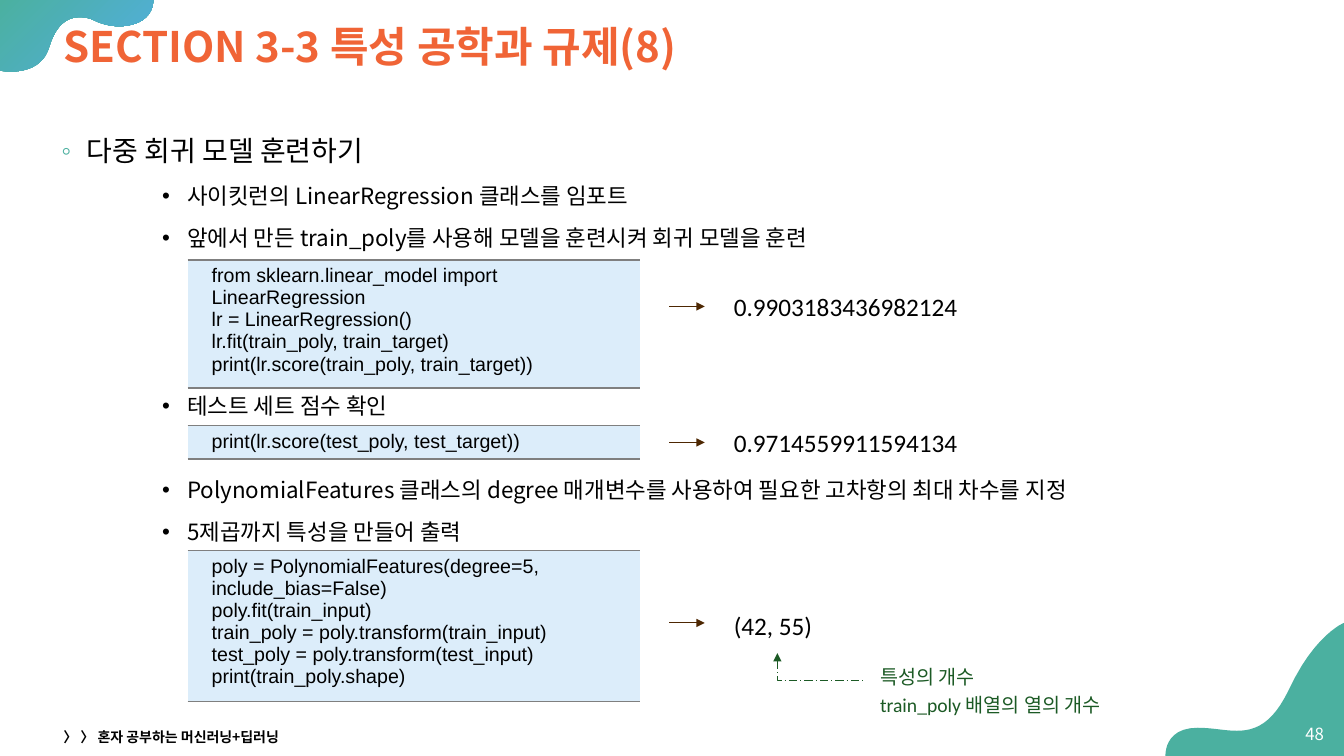
"""Builds the slide on training a multiple regression model."""
from lxml import etree
from pptx import Presentation, util as u
from pptx.dml.color import RGBColor
from pptx.enum import dml, shapes, text
from pptx.oxml import ns

KOREAN = "Noto Sans CJK KR"
TEAL, GREEN, BROWN, BLACK = "4BB0A0", "1C5A25", "4D2702", "000000"


def rgb(value):
    return RGBColor.from_string(value)


def write(paragraph, words, size=16, font=KOREAN, color=BLACK, bold=False,
          align=text.PP_ALIGN.LEFT, spacing=1.0, before=0, bullet=None, bullet_color=BLACK, indent=0):
    props = paragraph._p.get_or_add_pPr()
    if bullet:
        props.set("marL", str(u.Inches(indent)))
        props.set("indent", str(u.Inches(-0.25)))
        tint = etree.SubElement(props, ns.qn("a:buClr"))
        etree.SubElement(tint, ns.qn("a:srgbClr"), val=bullet_color)
        etree.SubElement(props, ns.qn("a:buFont"), typeface="Arial")
        etree.SubElement(props, ns.qn("a:buChar"), char=bullet)
    paragraph.text = words
    paragraph.alignment = align
    paragraph.line_spacing = spacing
    paragraph.space_before = u.Pt(before)
    for run in paragraph.runs:
        run.font.size, run.font.bold, run.font.name = u.Pt(size), bold, font
        run.font.color.rgb = rgb(color)
        etree.SubElement(run._r.get_or_add_rPr(), ns.qn("a:ea"), typeface=KOREAN)


deck = Presentation()
deck.slide_width, deck.slide_height = u.Inches(13.33), u.Inches(7.5)
slide = deck.slides.add_slide(deck.slide_layouts[6])

top_wave = [(1.52, 0), (0, 0), (0, 0.7)], [
    [(0, 0.7), (0.04, 0.71), (0.11, 0.71)], [(0.24, 0.71), (0.43, 0.67), (0.49, 0.46)],
    [(0.56, 0.23), (0.68, 0.17), (0.79, 0.17)], [(0.84, 0.17), (0.89, 0.18), (0.93, 0.2)],
    [(1.01, 0.24), (1.1, 0.26), (1.18, 0.26)], [(1.37, 0.26), (1.52, 0.17), (1.52, 0)]]
bottom_wave = [(13.33, 7.5), (13.33, 6.18)], [
    [(13.33, 6.18), (13.04, 6.29), (12.78, 6.85)], [(12.62, 7.18), (12.45, 7.25), (12.27, 7.25)],
    [(12.15, 7.25), (12.02, 7.22), (11.88, 7.22)], [(11.54, 7.22), (11.56, 7.5), (11.56, 7.5)]]
for (corners, curves), gradient in ((top_wave, True), (bottom_wave, False)):
    outline = list(corners)
    for b, c, d in curves:
        a = outline[-1]
        for step in range(1, 13):
            t = step / 12
            outline.append(tuple((1 - t) ** 3 * a[i] + 3 * t * (1 - t) ** 2 * b[i]
                                 + 3 * t * t * (1 - t) * c[i] + t ** 3 * d[i] for i in (0, 1)))
    outline = [(u.Inches(x), u.Inches(y)) for x, y in outline]
    builder = slide.shapes.build_freeform(*outline[0])
    builder.add_line_segments(outline[1:], close=True)
    wave = builder.convert_to_shape()
    wave.shadow.inherit = False
    wave.line.fill.background()
    if gradient:
        wave.fill.gradient()
        wave.fill.gradient_angle = 315
        for stop, color, position in zip(wave.fill.gradient_stops, (TEAL, "52AEE1"), (0, 1)):
            stop.color.rgb, stop.position = rgb(color), position
    else:
        wave.fill.solid()
        wave.fill.fore_color.rgb = rgb(TEAL)

topic = dict(size=20, bullet="◦", bullet_color=TEAL, indent=0.25, spacing=1.3)
point = dict(bullet="•", indent=1.25, spacing=1.3, before=5)
outline_points = [
    ("다중 회귀 모델 훈련하기", topic),
    ("사이킷런의 LinearRegression 클래스를 임포트", point),
    ("앞에서 만든 train_poly를 사용해 모델을 훈련시켜 회귀 모델을 훈련", point),
    ("테스트 세트 점수 확인", point | dict(before=95)),
    ("PolynomialFeatures 클래스의 degree 매개변수를 사용하여 필요한 고차항의 최대 차수를 지정",
     point | dict(before=35)),
    ("5제곱까지 특성을 만들어 출력", point)]
result = dict(size=18, font="Calibri")
middle, top = text.MSO_ANCHOR.MIDDLE, text.MSO_ANCHOR.TOP
text_blocks = [
    ((0.51, 1.18, 12.59, 5.96), top, outline_points),
    ((0.53, 0.12, 12.34, 0.73), middle,
     [("SECTION 3-3 특성 공학과 규제(8)", dict(size=30, color="F06436", bold=True, spacing=0.9))]),
    ((12.79, 7.08, 0.44, 0.4), middle,
     [("48", dict(size=12, color="FFFFFF", align=text.PP_ALIGN.RIGHT))]),
    ((0.53, 7.19, 4.5, 0.24), middle,
     [("〉 〉 혼자 공부하는 머신러닝+딥러닝", dict(size=10, bold=True))]),
    ((7.18, 2.84, 3.19, 0.4), top, [("0.9903183436982124", result)]),
    ((7.18, 4.19, 3.19, 0.4), top, [("0.9714559911594134", result)]),
    ((7.18, 6.01, 3.19, 0.4), top, [("(42, 55)", result)]),
    ((8.63, 6.5, 2.75, 0.65), top,
     [("특성의 개수\ntrain_poly 배열의 열의 개수", dict(size=14, font="Calibri", color=GREEN, spacing=1.2))])]
for place, anchor, lines in text_blocks:
    frame = slide.shapes.add_textbox(*map(u.Inches, place)).text_frame
    frame.word_wrap, frame.vertical_anchor = True, anchor
    for number, (words, style) in enumerate(lines):
        write(frame.add_paragraph() if number else frame.paragraphs[0], words, **style)

code_blocks = [
    (2.58, 1.27, 3.04, ["from sklearn.linear_model import LinearRegression", "lr = LinearRegression()",
                        "lr.fit(train_poly, train_target)", "print(lr.score(train_poly, train_target))"]),
    (4.22, 0.33, 4.39, ["print(lr.score(test_poly, test_target))"]),
    (5.46, 1.5, 6.18, ["poly = PolynomialFeatures(degree=5, include_bias=False)", "poly.fit(train_input)",
                       "train_poly = poly.transform(train_input)",
                       "test_poly = poly.transform(test_input)", "print(train_poly.shape)"])]
for y, height, arrow_y, code in code_blocks:
    listing = slide.shapes.add_table(1, 1, u.Inches(1.86), u.Inches(y), u.Inches(4.49), u.Inches(height)).table
    cell = listing.cell(0, 0)
    cell.margin_left = u.Inches(0.24)
    for number, line in enumerate(code):
        frame = cell.text_frame
        write(frame.add_paragraph() if number else frame.paragraphs[0], line, size=14, font="Arial")
    cell_props = cell._tc.get_or_add_tcPr()
    for side in "LRTB":
        border = etree.SubElement(cell_props, ns.qn("a:ln" + side), w=str(u.Pt(1)))
        if side in "TB":
            paint = etree.SubElement(border, ns.qn("a:solidFill"))
            etree.SubElement(paint, ns.qn("a:srgbClr"), val="7F7F7F")
        else:
            etree.SubElement(border, ns.qn("a:noFill"))
    cell.fill.solid()
    cell.fill.fore_color.rgb = rgb("DCEDFA")

    arrow = slide.shapes.add_connector(shapes.MSO_CONNECTOR.STRAIGHT, u.Inches(6.64), u.Inches(arrow_y),
                                       u.Inches(6.99), u.Inches(arrow_y))
    arrow.line.color.rgb, arrow.line.width = rgb(BROWN), u.Pt(0.75)
    arrow_props = arrow._element.spPr
    etree.SubElement(arrow_props.find(ns.qn("a:ln")), ns.qn("a:tailEnd"), type="triangle")
    etree.SubElement(arrow_props, ns.qn("a:effectLst"))

bend = [(u.Inches(x), u.Inches(y)) for x, y in ((7.71, 6.48), (7.71, 6.75), (8.59, 6.75))]
builder = slide.shapes.build_freeform(*bend[0])
builder.add_line_segments(bend[1:], close=False)
pointer = builder.convert_to_shape()
pointer.shadow.inherit = False
pointer.fill.background()
pointer.line.color.rgb, pointer.line.width = rgb(GREEN), u.Pt(0.75)
pointer.line.dash_style = dml.MSO_LINE.LONG_DASH_DOT
etree.SubElement(pointer._element.spPr.find(ns.qn("a:ln")), ns.qn("a:headEnd"), type="triangle")

deck.save("out.pptx")
